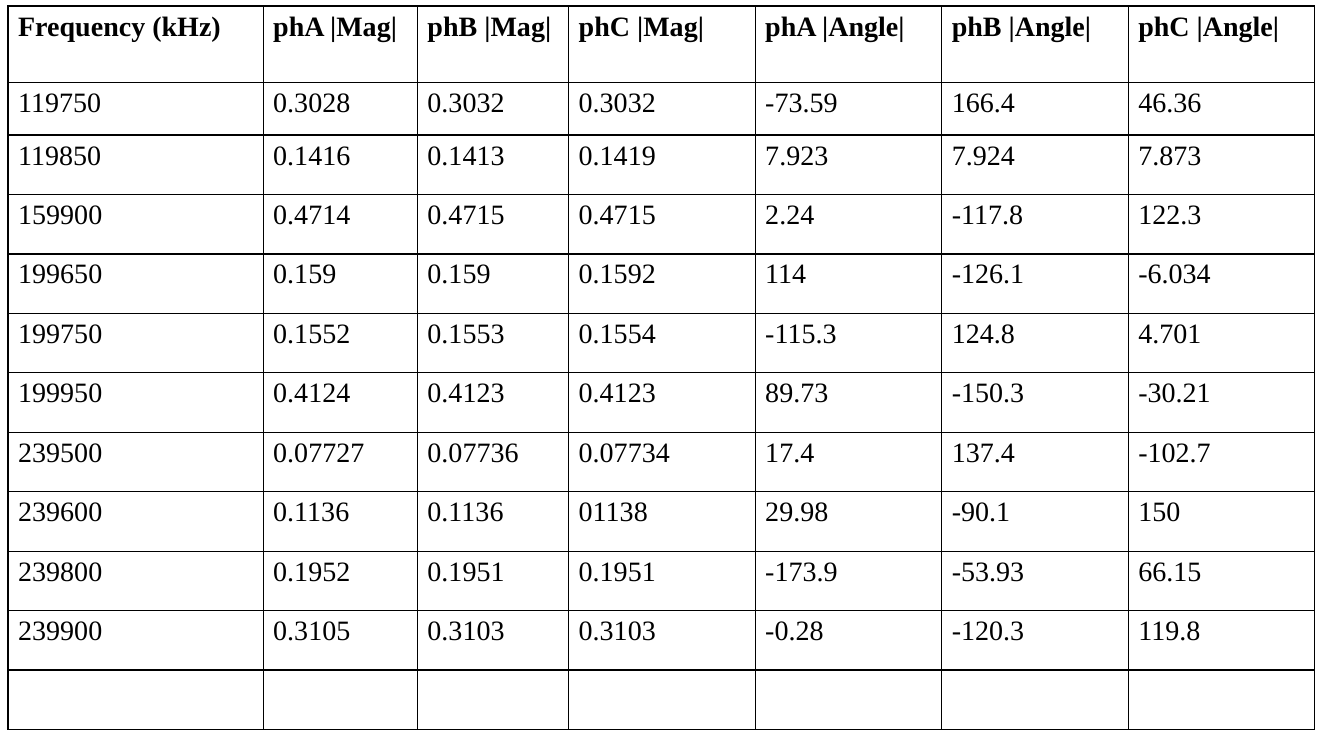
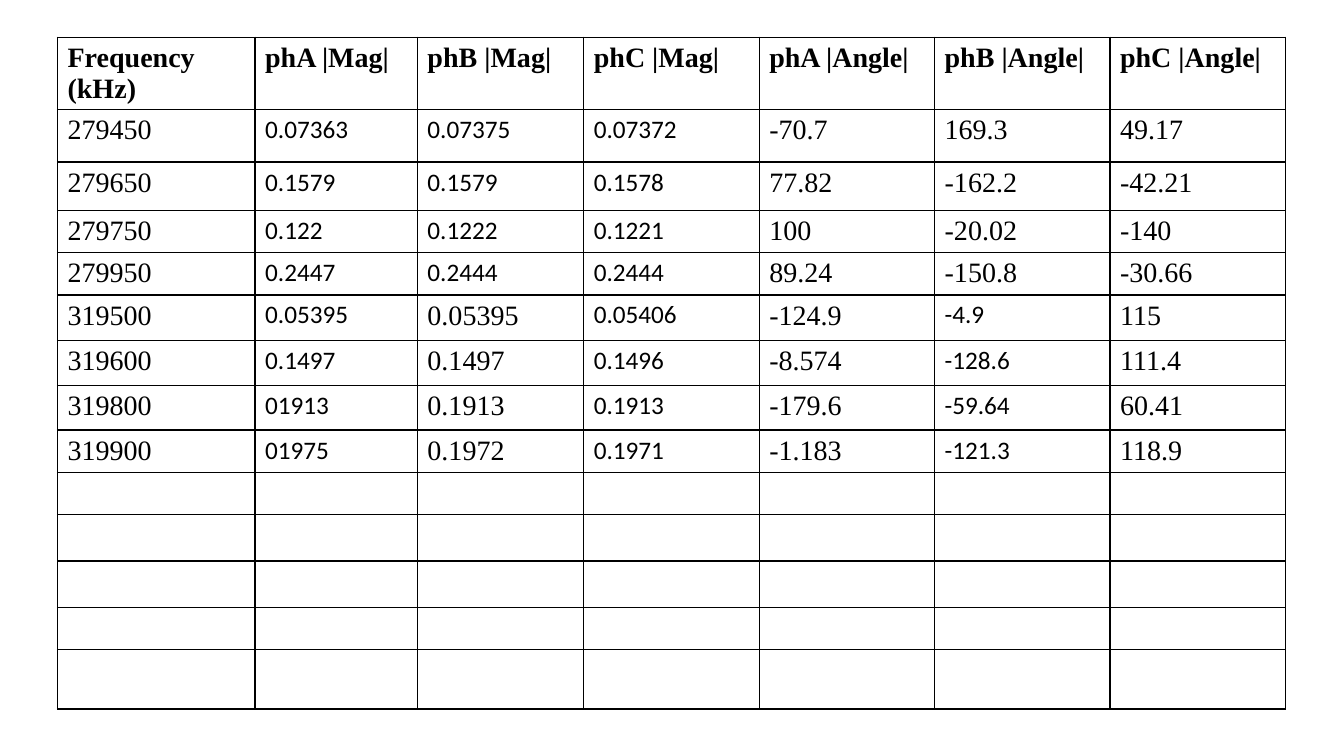
from dataclasses import dataclass

from lxml.etree import SubElement
from pptx import Presentation
from pptx.dml.color import RGBColor
from pptx.oxml.ns import qn
from pptx.presentation import Presentation as Deck
from pptx.table import _Cell as Cell
from pptx.util import Inches, Pt

# Shared style
INK = "000000"
BORDER_PT = 1
BLANK_LAYOUT = 6
COLUMN_TITLES = ["phA |Mag|", "phB |Mag|", "phC |Mag|",
                 "phA |Angle|", "phB |Angle|", "phC |Angle|"]


@dataclass(frozen=True)
class TextStyle:
    font: str
    size: int
    bold: bool = False


HEADING = TextStyle("Times New Roman", 20, bold=True)
READING = TextStyle("Times New Roman", 20)
SMALL_READING = TextStyle("Calibri", 18)


@dataclass(frozen=True)
class ReadingsTable:
    left: float
    top: float
    column_widths: list[float]
    row_heights: list[float]  # rows beyond the readings stay empty
    frequency_title: str
    readings: list[str]  # one row each: frequency, three magnitudes, three angles
    small_cells: frozenset[tuple[int, int]] = frozenset()


FIRST_READINGS = ReadingsTable(
    left=0.08, top=0.06,
    column_widths=[2.53, 1.53, 1.5] + [1.85] * 4,
    row_heights=[0.76, 0.52] + [0.59] * 10,
    frequency_title="Frequency (kHz)",
    readings=[
        "119750 0.3028 0.3032 0.3032 -73.59 166.4 46.36",
        "119850 0.1416 0.1413 0.1419 7.923 7.924 7.873",
        "159900 0.4714 0.4715 0.4715 2.24 -117.8 122.3",
        "199650 0.159 0.159 0.1592 114 -126.1 -6.034",
        "199750 0.1552 0.1553 0.1554 -115.3 124.8 4.701",
        "199950 0.4124 0.4123 0.4123 89.73 -150.3 -30.21",
        "239500 0.07727 0.07736 0.07734 17.4 137.4 -102.7",
        "239600 0.1136 0.1136 01138 29.98 -90.1 150",
        "239800 0.1952 0.1951 0.1951 -173.9 -53.93 66.15",
        "239900 0.3105 0.3103 0.3103 -0.28 -120.3 119.8",
    ],
)

SECOND_READINGS = ReadingsTable(
    left=0.57, top=0.37,
    column_widths=[1.96, 1.61, 1.65] + [1.74] * 4,
    row_heights=[0.71, 0.52, 0.48, 0.42, 0.42, 0.45, 0.45,
                 0.44, 0.42, 0.42, 0.46, 0.46, 0.42, 0.59],
    frequency_title="Frequency\n(kHz)",
    readings=[
        "279450 0.07363 0.07375 0.07372 -70.7 169.3 49.17",
        "279650 0.1579 0.1579 0.1578 77.82 -162.2 -42.21",
        "279750 0.122 0.1222 0.1221 100 -20.02 -140",
        "279950 0.2447 0.2444 0.2444 89.24 -150.8 -30.66",
        "319500 0.05395 0.05395 0.05406 -124.9 -4.9 115",
        "319600 0.1497 0.1497 0.1496 -8.574 -128.6 111.4",
        "319800 01913 0.1913 0.1913 -179.6 -59.64 60.41",
        "319900 01975 0.1972 0.1971 -1.183 -121.3 118.9",
    ],
    # All magnitudes in rows 1-4, then every second column in rows 5-8
    small_cells=frozenset(
        (row, column)
        for row in range(1, 9)
        for column in ((1, 2, 3) if row <= 4 else (1, 3, 5))
    ),
)


def color(hex_code: str) -> RGBColor:
    return RGBColor.from_string(hex_code)


def add_borders(cell: Cell) -> None:
    """Draw a solid line on all four sides; call before setting the fill."""
    properties = cell._tc.get_or_add_tcPr()
    for side in ("lnL", "lnR", "lnT", "lnB"):
        line = SubElement(properties, qn(f"a:{side}"), w=str(Pt(BORDER_PT)))
        solid = SubElement(line, qn("a:solidFill"))
        SubElement(solid, qn("a:srgbClr"), val=INK)


def write_text(cell: Cell, text: str, style: TextStyle) -> None:
    cell.text_frame.text = text
    for paragraph in cell.text_frame.paragraphs:
        for run in paragraph.runs:
            run.font.name = style.font
            run.font.size = Pt(style.size)
            run.font.bold = style.bold
            run.font.color.rgb = color(INK)


def add_readings_slide(deck: Deck, content: ReadingsTable) -> None:
    slide = deck.slides.add_slide(deck.slide_layouts[BLANK_LAYOUT])
    table = slide.shapes.add_table(
        len(content.row_heights), len(content.column_widths),
        Inches(content.left), Inches(content.top),
        Inches(sum(content.column_widths)), Inches(sum(content.row_heights)),
    ).table
    table.first_row = table.horz_banding = False

    # Grid
    for column, width in zip(table.columns, content.column_widths):
        column.width = Inches(width)
    for row, height in zip(table.rows, content.row_heights):
        row.height = Inches(height)
    for cell in table.iter_cells():
        add_borders(cell)
        cell.fill.background()

    # Headings and readings
    for c, title in enumerate([content.frequency_title, *COLUMN_TITLES]):
        write_text(table.cell(0, c), title, HEADING)
    for r, reading in enumerate(content.readings, start=1):
        for c, value in enumerate(reading.split()):
            style = SMALL_READING if (r, c) in content.small_cells else READING
            write_text(table.cell(r, c), value, style)


def main() -> None:
    deck = Presentation()
    deck.slide_width, deck.slide_height = Inches(13.33), Inches(7.5)
    for content in (FIRST_READINGS, SECOND_READINGS):
        add_readings_slide(deck, content)
    deck.save("out.pptx")


if __name__ == "__main__":
    main()
